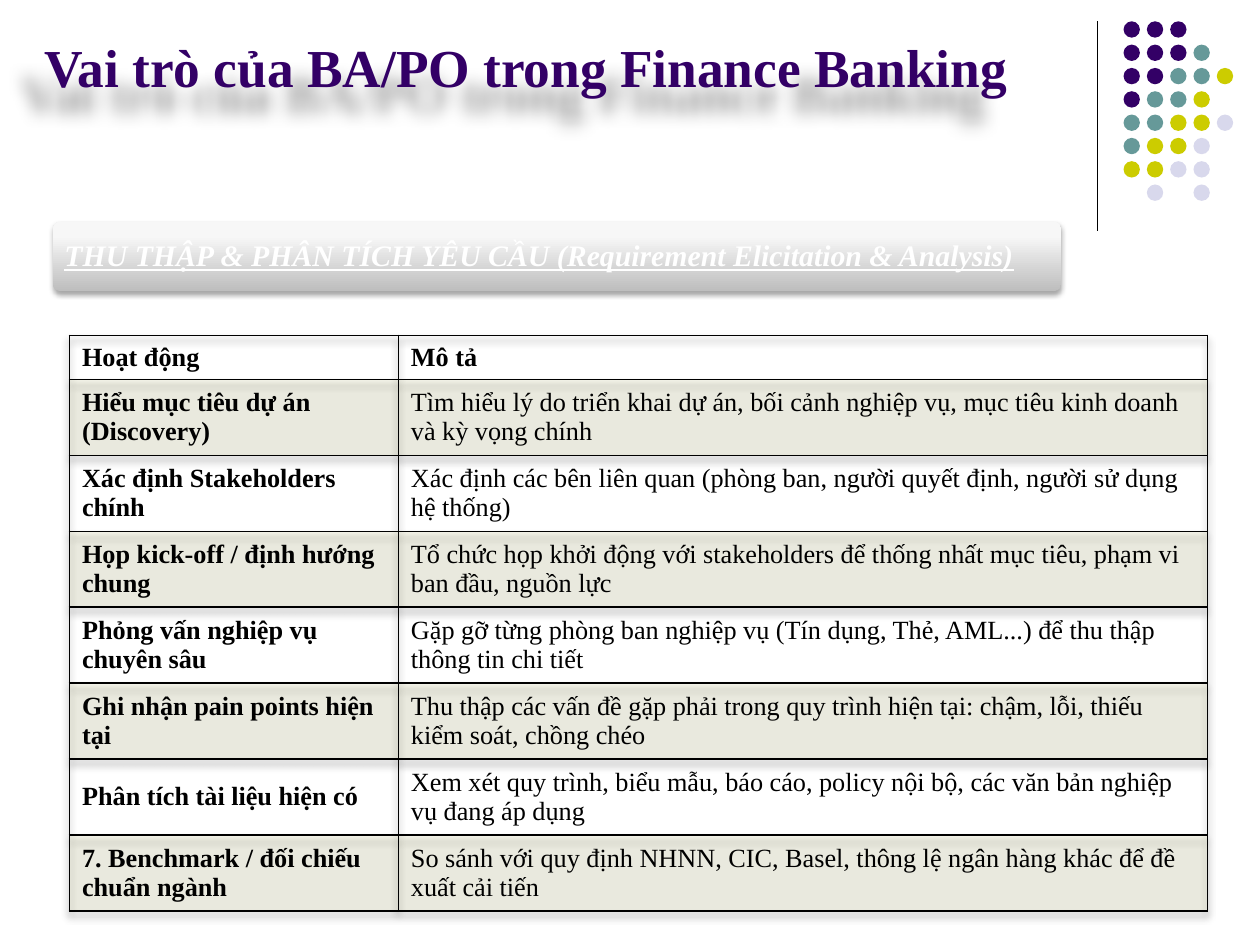
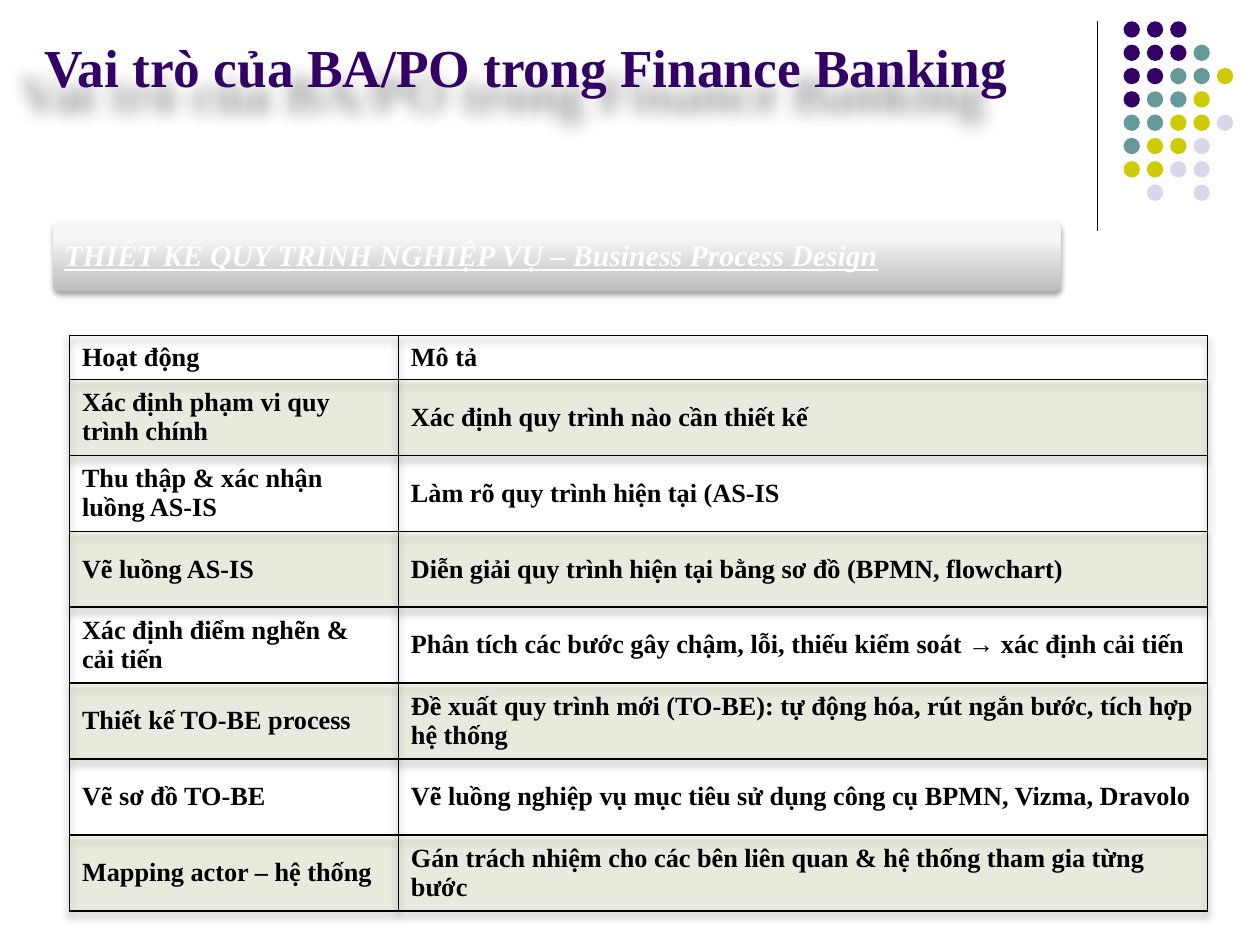
"""Build two slides on the role of BA/PO in finance banking."""
from dataclasses import dataclass

from lxml import etree
from pptx import Presentation
from pptx.dml.color import RGBColor
from pptx.enum.shapes import MSO_CONNECTOR, MSO_SHAPE
from pptx.enum.text import MSO_ANCHOR
from pptx.oxml import parse_xml
from pptx.oxml.ns import qn
from pptx.util import Cm, Pt

ELLIPSE = MSO_SHAPE.OVAL
ROUNDED = MSO_SHAPE.ROUNDED_RECTANGLE
STRAIGHT = MSO_CONNECTOR.STRAIGHT
MIDDLE = MSO_ANCHOR.MIDDLE
BOTTOM = MSO_ANCHOR.BOTTOM
NAMESPACE = 'xmlns:a="http://schemas.openxmlformats.org/drawingml/2006/main"'

FONT = "Times New Roman"
BLACK = "000000"
WHITE = "FFFFFF"
PURPLE = "330066"
BAND_ROW = "E2E2AA"
DOT_COLORS = {"P": PURPLE, "T": "669999", "Y": "CCCC00", "L": "D8D8EC"}
DOT_ROWS = ("PPP", "PPPT", "PPTTY", "PTTY", "TTYYL", "TYYL", "YYLL", ".L.L")
DOT_LEFT, DOT_TOP, DOT_SIZE, DOT_STEP = 22.65, 0.43, 0.33, 0.47
BAND_STOPS = ((0, "BEBEBE"), (80, "F7F7F7"), (100, "F8F8F8"))
BORDER_SIDES = ("lnL", "lnR", "lnT", "lnB")
COLUMN_WIDTHS = (6.63, 16.31)
HEADER_HEIGHT, ROW_HEIGHT = 0.84, 1.53
TITLE = "Vai trò của BA/PO trong Finance Banking"
HEADER = ("Hoạt động", "Mô tả")


@dataclass(frozen=True)
class Box:
    """A frame in centimetres."""
    left: float
    top: float
    width: float
    height: float

    def lengths(self) -> tuple:
        """Return the frame as lengths."""
        return Cm(self.left), Cm(self.top), Cm(self.width), Cm(self.height)


@dataclass(frozen=True)
class TextStyle:
    """How a paragraph is set."""
    size: float
    color: str
    bold: bool = True
    italic: bool = False
    underline: bool = False


@dataclass(frozen=True)
class Shadow:
    """An outer shadow, in points, degrees and percent."""
    blur: float
    distance: float
    angle: int
    opacity: int


@dataclass(frozen=True)
class ActivitySlide:
    """The heading and activities of one slide."""
    heading: str
    activities: tuple
    bold_descriptions: bool


TITLE_BOX = Box(0.64, 0.64, 21.39, 1.47)
BAND_BOX = Box(1.07, 4.47, 20.32, 1.4)
HEADING_BOX = Box(1.12, 4.55, 20.19, 1.27)
TABLE_BOX = Box(1.4, 6.76, 22.94, 11.55)
TITLE_STYLE = TextStyle(30.5, PURPLE)
HEADING_STYLE = TextStyle(17, WHITE, italic=True, underline=True)
TITLE_SHADOW = Shadow(10, 19.5, 135, 40)
BAND_SHADOW = Shadow(3.1, 1.8, 90, 35)
TABLE_SHADOW = Shadow(4, 3, 90, 40)

SLIDES = (
    ActivitySlide(
        "THU THẬP & PHÂN TÍCH YÊU CẦU (Requirement Elicitation & Analysis)",
        (
            ("Hiểu mục tiêu dự án (Discovery)",
             "Tìm hiểu lý do triển khai dự án, bối cảnh nghiệp vụ, mục tiêu kinh doanh và kỳ vọng chính"),
            ("Xác định Stakeholders chính",
             "Xác định các bên liên quan (phòng ban, người quyết định, người sử dụng hệ thống)"),
            ("Họp kick-off / định hướng chung",
             "Tổ chức họp khởi động với stakeholders để thống nhất mục tiêu, phạm vi ban đầu, nguồn lực"),
            ("Phỏng vấn nghiệp vụ chuyên sâu",
             "Gặp gỡ từng phòng ban nghiệp vụ (Tín dụng, Thẻ, AML...) để thu thập thông tin chi tiết"),
            ("Ghi nhận pain points hiện tại",
             "Thu thập các vấn đề gặp phải trong quy trình hiện tại: chậm, lỗi, thiếu kiểm soát, chồng chéo"),
            ("Phân tích tài liệu hiện có",
             "Xem xét quy trình, biểu mẫu, báo cáo, policy nội bộ, các văn bản nghiệp vụ đang áp dụng"),
            ("7. Benchmark / đối chiếu chuẩn ngành",
             "So sánh với quy định NHNN, CIC, Basel, thông lệ ngân hàng khác để đề xuất cải tiến"),
        ),
        bold_descriptions=False,
    ),
    ActivitySlide(
        "THIẾT KẾ QUY TRÌNH NGHIỆP VỤ – Business Process Design",
        (
            ("Xác định phạm vi quy trình chính", "Xác định quy trình nào cần thiết kế"),
            ("Thu thập & xác nhận luồng AS-IS", "Làm rõ quy trình hiện tại (AS-IS"),
            ("Vẽ luồng AS-IS", "Diễn giải quy trình hiện tại bằng sơ đồ (BPMN, flowchart)"),
            ("Xác định điểm nghẽn & cải tiến",
             "Phân tích các bước gây chậm, lỗi, thiếu kiểm soát → xác định cải tiến"),
            ("Thiết kế TO-BE process",
             "Đề xuất quy trình mới (TO-BE): tự động hóa, rút ngắn bước, tích hợp hệ thống"),
            ("Vẽ sơ đồ TO-BE", "Vẽ luồng nghiệp vụ mục tiêu sử dụng công cụ BPMN, Vizma, Dravolo"),
            ("Mapping actor – hệ thống",
             "Gán trách nhiệm cho các bên liên quan & hệ thống tham gia từng bước"),
        ),
        bold_descriptions=True,
    ),
)


def rgb(color: str) -> RGBColor:
    """Turn a hex string into a colour."""
    return RGBColor.from_string(color)


def add_shadow(properties, shadow: Shadow) -> None:
    """Append an outer shadow to shape or table properties."""
    for effects in properties.findall(qn("a:effectLst")):
        properties.remove(effects)
    effects = parse_xml(
        f'<a:effectLst {NAMESPACE}><a:outerShdw blurRad="{Pt(shadow.blur)}" '
        f'dist="{Pt(shadow.distance)}" dir="{shadow.angle * 60000}" algn="ctr" rotWithShape="0">'
        f'<a:srgbClr val="{BLACK}"><a:alpha val="{shadow.opacity * 1000}"/></a:srgbClr>'
        f'</a:outerShdw></a:effectLst>')
    properties.insert(0, effects) if properties.tag == qn("a:tblPr") else properties.append(effects)


def write(text_frame, text: str, style: TextStyle):
    """Fill the first paragraph and return it."""
    paragraph = text_frame.paragraphs[0]
    paragraph.text = text
    font = paragraph.font
    font.name, font.size, font.color.rgb = FONT, Pt(style.size), rgb(style.color)
    font.bold, font.italic, font.underline = style.bold, style.italic, style.underline
    return paragraph


def add_text(slide, box: Box, text: str, style: TextStyle, anchor):
    """Add a wrapping text box."""
    shape = slide.shapes.add_textbox(*box.lengths())
    shape.text_frame.word_wrap = True
    shape.text_frame.vertical_anchor = anchor
    write(shape.text_frame, text, style)
    return shape


def add_dots(slide) -> None:
    """Draw the rule and the corner grid of dots."""
    rule = slide.shapes.add_connector(STRAIGHT, Cm(22.12), Cm(0.43), Cm(22.12), Cm(4.65))
    rule.line.color.rgb, rule.line.width = rgb(BLACK), Pt(0.75)
    etree.SubElement(rule._element.spPr, qn("a:effectLst"))
    group = slide.shapes.add_group_shape()
    for row, codes in enumerate(DOT_ROWS):
        for column, code in enumerate(codes):
            if code not in DOT_COLORS:
                continue
            box = Box(DOT_LEFT + column * DOT_STEP, DOT_TOP + row * DOT_STEP, DOT_SIZE, DOT_SIZE)
            dot = group.shapes.add_shape(ELLIPSE, *box.lengths())
            dot.shadow.inherit = False
            dot.fill.solid()
            dot.fill.fore_color.rgb = rgb(DOT_COLORS[code])
            dot.line.fill.background()


def add_title(slide) -> None:
    """Add the shared title with its soft shadow."""
    shape = add_text(slide, TITLE_BOX, TITLE, TITLE_STYLE, BOTTOM)
    shape.text_frame.paragraphs[0].space_after = Pt(6)
    add_shadow(shape._element.spPr, TITLE_SHADOW)


def add_heading(slide, heading: str) -> None:
    """Draw the gradient band and the heading on it."""
    band = slide.shapes.add_shape(ROUNDED, *BAND_BOX.lengths())
    band.adjustments[0] = 0.1
    band.line.fill.background()
    stops = "".join(f'<a:gs pos="{position * 1000}"><a:srgbClr val="{color}"/></a:gs>'
                    for position, color in BAND_STOPS)
    properties = band._element.spPr
    properties.insert(2, parse_xml(
        f'<a:gradFill {NAMESPACE} rotWithShape="1"><a:gsLst>{stops}</a:gsLst>'
        f'<a:lin ang="{270 * 60000}" scaled="0"/></a:gradFill>'))
    add_shadow(properties, BAND_SHADOW)
    frame = add_text(slide, HEADING_BOX, heading, HEADING_STYLE, MIDDLE).text_frame
    frame.margin_left = frame.margin_right = frame.margin_top = frame.margin_bottom = Cm(0.18)
    paragraph = frame.paragraphs[0]
    paragraph.line_spacing, paragraph.space_after = 0.9, Pt(6)


def style_cell(cell, banded: bool) -> None:
    """Give a cell its borders and its fill."""
    cell.vertical_anchor = MIDDLE
    properties = cell._tc.get_or_add_tcPr()
    for side in BORDER_SIDES:
        properties.append(parse_xml(
            f'<a:{side} {NAMESPACE} w="{Pt(1)}"><a:solidFill><a:srgbClr val="{BLACK}"/>'
            f'</a:solidFill></a:{side}>'))
    if banded:
        cell.fill.solid()
        cell.fill.fore_color.rgb = rgb(BAND_ROW)
        color = properties.find(qn("a:solidFill")).find(qn("a:srgbClr"))
        etree.SubElement(color, qn("a:alpha"), val="20000")
    else:
        cell.fill.background()


def add_activities(slide, content: ActivitySlide) -> None:
    """Add the table of activities and descriptions."""
    rows = (HEADER, *content.activities)
    table = slide.shapes.add_table(len(rows), len(HEADER), *TABLE_BOX.lengths()).table
    table.first_row = table.horz_banding = False
    add_shadow(table._tbl.tblPr, TABLE_SHADOW)
    for column, width in zip(table.columns, COLUMN_WIDTHS):
        column.width = Cm(width)
    for row_index, texts in enumerate(rows):
        table.rows[row_index].height = Cm(ROW_HEIGHT if row_index else HEADER_HEIGHT)
        for column_index, text in enumerate(texts):
            cell = table.cell(row_index, column_index)
            bold = row_index == 0 or column_index == 0 or content.bold_descriptions
            write(cell.text_frame, text, TextStyle(15, BLACK, bold)).space_before = Pt(3)
            style_cell(cell, banded=row_index % 2 == 1)


def main() -> None:
    """Build and save the presentation."""
    presentation = Presentation()
    presentation.slide_width, presentation.slide_height = Cm(25.4), Cm(19.05)
    for content in SLIDES:
        slide = presentation.slides.add_slide(presentation.slide_layouts[6])
        add_dots(slide)
        add_title(slide)
        add_heading(slide, content.heading)
        add_activities(slide, content)
    presentation.save("out.pptx")


if __name__ == "__main__":
    main()
